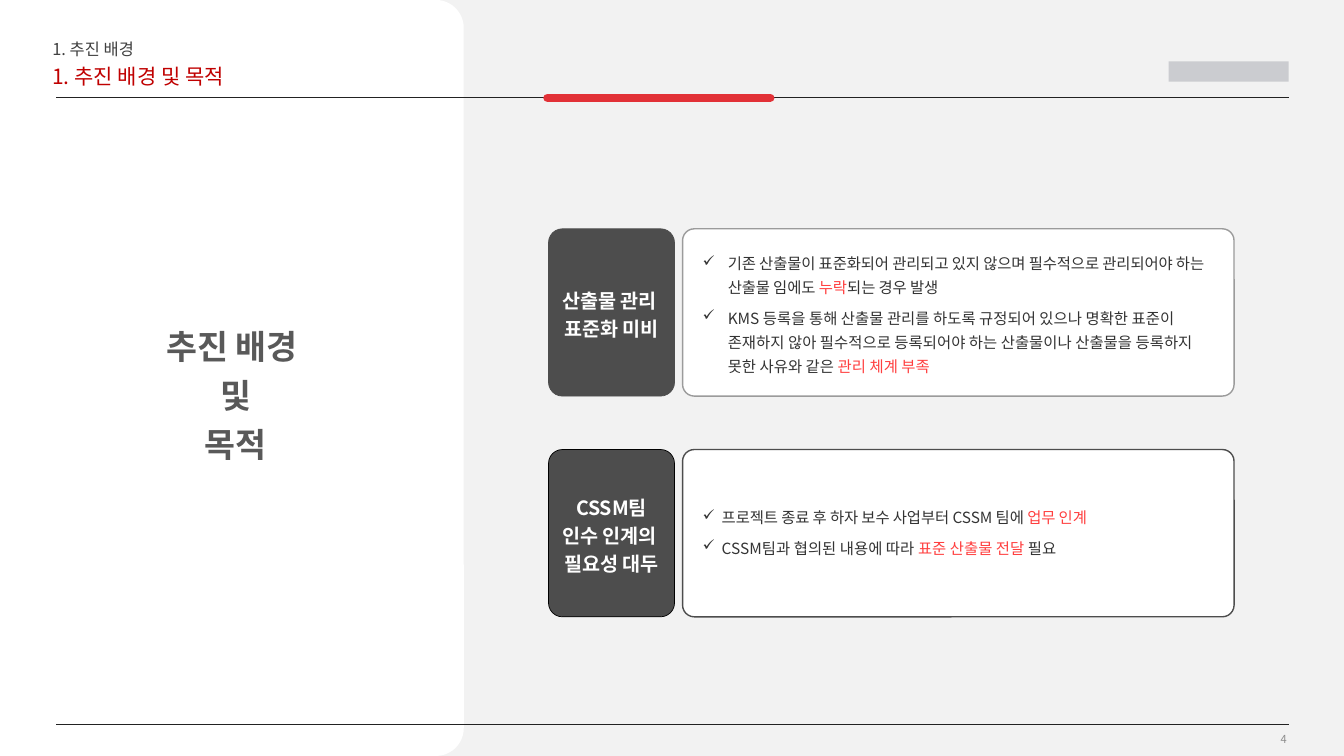
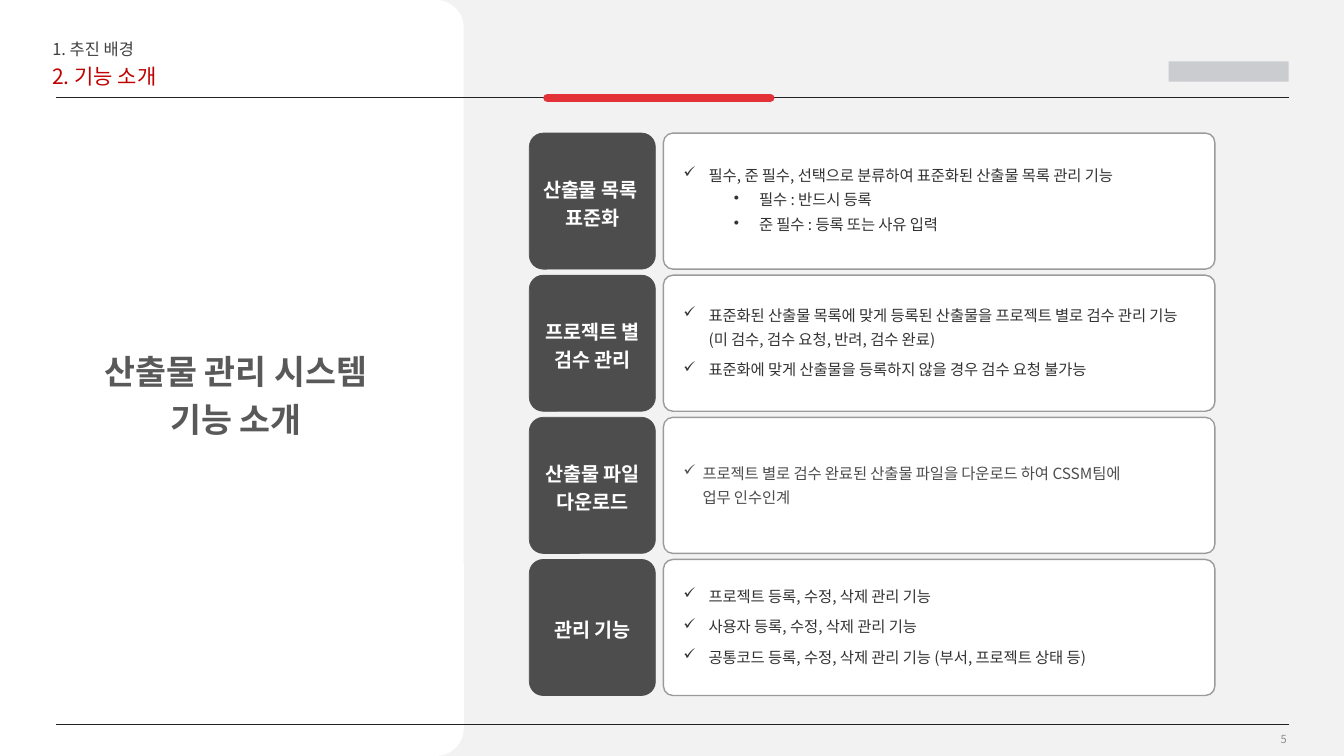
import copy
import dataclasses

import lxml.etree
import pptx
import pptx.dml.color
import pptx.enum.shapes
import pptx.enum.text
import pptx.oxml.ns
import pptx.util

Inches = pptx.util.Inches
Pt = pptx.util.Pt
SHAPES = pptx.enum.shapes.MSO_SHAPE
ALIGN = pptx.enum.text.PP_ALIGN
ANCHOR = pptx.enum.text.MSO_ANCHOR
FONT = "Noto Sans CJK KR"
COLORS = {
    "white": "FFFFFF", "backdrop": "F2F2F2", "rule": "222222", "accent": "E23137",
    "logo": "CBCCD0", "number": "8C8C8C", "section": "404040", "title": "C00000",
    "heading": "595959", "body": "333333", "highlight": "FF3F3F",
    "dark": "4D4D4D", "border": "9B9B9B", "black": "000000",
}


@dataclasses.dataclass
class Bullet:
    """A list item; every second span is highlighted."""
    spans: tuple
    mark: str = "✓"
    margin: float = 0.25
    hanging: float = 0.25
    level: int = 0
    line_spacing: float = 1.3
    spacing: int = -10
    color: str = "body"


@dataclasses.dataclass
class Card:
    """A dark label with a panel of bullets."""
    label: tuple
    text_top: float
    text_height: float
    bullets: tuple
    border: str = "border"
    label_border: str = "dark"


def rgb(name):
    """Return the named colour."""
    return pptx.dml.color.RGBColor.from_string(COLORS[name])


def add_child(parent, tag, **attributes):
    """Append a DrawingML element."""
    return lxml.etree.SubElement(parent, pptx.oxml.ns.qn(tag), attributes)


def place(left, top, width, height):
    """Convert a box in inches to lengths."""
    return Inches(left), Inches(top), Inches(width), Inches(height)


def add_text(para, text, size, color, bold=False, spacing=0):
    """Add formatted text, with a line break at each newline."""
    for index, line in enumerate(text.split("\n")):
        if index:
            para.add_line_break()
            line_break = para._p[-1]
            line_break.append(copy.deepcopy(properties))
        span = para.add_run()
        span.text = line
        span.font.size = Pt(size)
        span.font.name = FONT
        span.font.bold = bold
        span.font.color.rgb = rgb(color)
        properties = span._r.get_or_add_rPr()
        properties.set("spc", str(spacing))
        add_child(properties, "a:ea", typeface=FONT)


def fill_frame(frame, lines, align=ALIGN.LEFT, anchor=ANCHOR.TOP, wrap=True, inset=True,
               line_spacing=1.0, before=0, after=0, **style):
    """Fill a text frame with one paragraph per line."""
    frame.word_wrap = wrap
    frame.vertical_anchor = anchor
    if not inset:
        frame.margin_left = frame.margin_top = frame.margin_right = frame.margin_bottom = 0
    for index, line in enumerate(lines):
        para = frame.add_paragraph() if index else frame.paragraphs[0]
        para.alignment = align
        para.line_spacing = line_spacing
        para.space_before = Pt(before)
        para.space_after = Pt(after)
        add_text(para, line, **style)


def add_text_box(page, box, lines, **style):
    """Add a text box."""
    fill_frame(page.shapes.add_textbox(*place(*box)).text_frame, lines, **style)


def add_block(page, kind, box, fill, border=None, width=1, radius=None):
    """Add a flat shape."""
    shape = page.shapes.add_shape(kind, *place(*box))
    shape.shadow.inherit = False
    shape.fill.solid()
    shape.fill.fore_color.rgb = rgb(fill)
    if border:
        shape.line.color.rgb = rgb(border)
        shape.line.width = Pt(width)
    else:
        shape.line.fill.background()
    if radius is not None:
        shape.adjustments[0] = radius
    return shape


def add_rule(page, left, right, top, color, width, cap="flat"):
    """Add a horizontal line."""
    line = page.shapes.add_connector(pptx.enum.shapes.MSO_CONNECTOR.STRAIGHT,
                                     Inches(left), Inches(top), Inches(right), Inches(top))
    line.line.color.rgb = rgb(color)
    line.line.width = Pt(width)
    line.line._get_or_add_ln().set("cap", cap)
    add_child(line._element.spPr, "a:effectLst")


def add_frame(page, number, title, heading):
    """Add the parts that every page shares."""
    add_block(page, SHAPES.RECTANGLE, (4.2, 0, 9.13, 7.5), "backdrop")
    add_block(page, SHAPES.ROUNDED_RECTANGLE, (0, 0, 4.6, 7.5), "white", radius=0.06)
    add_rule(page, 0.56, 12.78, 0.97, "rule", 0.5)
    add_rule(page, 5.43, 7.64, 0.97, "accent", 6, cap="rnd")
    add_rule(page, 0.56, 12.78, 7.19, "rule", 0.5)
    add_block(page, SHAPES.RECTANGLE, (11.59, 0.61, 1.19, 0.2), "logo")
    add_text_box(page, (9.86, 7.13, 3, 0.4), [str(number)], size=7.9, color="number",
                 align=ALIGN.RIGHT, anchor=ANCHOR.MIDDLE)
    add_text_box(page, (0.42, 0.38, 8.62, 0.27), ["1. 추진 배경"], size=11.7,
                 color="section", line_spacing=0.8)
    add_text_box(page, (0.42, 0.63, 5.49, 0.31), [title], size=15, color="title",
                 line_spacing=0.8, before=7.5)
    add_text_box(page, (0.91, 3.03, 2.86, 1.78), heading, size=24, color="heading", bold=True,
                 align=ALIGN.CENTER, anchor=ANCHOR.MIDDLE, wrap=False, inset=False, after=6)


def add_bullets(page, box, bullets):
    """Add a bulleted list."""
    frame = page.shapes.add_textbox(*place(*box)).text_frame
    frame.word_wrap = True
    for index, bullet in enumerate(bullets):
        para = frame.add_paragraph() if index else frame.paragraphs[0]
        para.level = bullet.level
        para.line_spacing = bullet.line_spacing
        para.space_after = Pt(4.5)
        properties = para._p.get_or_add_pPr()
        properties.set("marL", str(Inches(bullet.margin)))
        properties.set("indent", str(-Inches(bullet.hanging)))
        add_child(properties, "a:buChar", char=bullet.mark)
        for position, text in enumerate(bullet.spans):
            color = "highlight" if position % 2 else bullet.color
            add_text(para, text, 11, color, spacing=bullet.spacing)


def add_card(page, box, card):
    """Add a label and its panel inside a box."""
    left, top, width, height = box
    panel_left, panel_width = left + 1.33, width - 1.33
    add_block(page, SHAPES.ROUNDED_RECTANGLE, (panel_left, top, panel_width, height),
              "white", card.border, radius=0.07)
    add_bullets(page, (panel_left + 0.1, top + card.text_top, panel_width - 0.2,
                       card.text_height), card.bullets)
    label = add_block(page, SHAPES.ROUNDED_RECTANGLE, (left, top, 1.25, height),
                      "dark", card.label_border, width=0.5, radius=0.11)
    fill_frame(label.text_frame, card.label, size=14, color="white", bold=True, spacing=-10,
               align=ALIGN.CENTER, anchor=ANCHOR.MIDDLE, inset=False, line_spacing=1.2)


def add_cards(page, box, gap, cards):
    """Stack cards of equal height in a box."""
    left, top, width, height = box
    card_height = (height - gap * (len(cards) - 1)) / len(cards)
    for index, card in enumerate(cards):
        add_card(page, (left, top + index * (card_height + gap), width, card_height), card)


def tight(*spans, **style):
    """Return a bullet with a narrow indent."""
    return Bullet(spans, margin=0.19, hanging=0.19, **style)


def sub_bullet(text):
    """Return a second-level bullet."""
    return Bullet((text,), mark="•", margin=0.75, level=1, line_spacing=1.0)


BACKGROUND_CARDS = (
    Card(("산출물 관리 ", "표준화 미비"), 0.15, 1.35, (
        Bullet(("기존 산출물이 표준화되어 관리되고 있지 않으며 필수적으로 관리되어야 하는 산출물 임에도 ",
                "누락", "되는 경우 발생")),
        Bullet(("KMS 등록을 통해 산출물 관리를 하도록 규정되어 있으나 명확한 표준이 존재하지 않아 "
                "필수적으로 등록되어야 하는 산출물이나 산출물을 등록하지 못한 사유와 같은 ",
                "관리 체계 부족"), spacing=0))),
    Card(("CSSM팀", "인수 인계의 ", "필요성 대두"), 0.48, 0.63, (
        tight("프로젝트 종료 후 하자 보수 사업부터 CSSM 팀에 ", "업무 인계"),
        tight("CSSM팀과 협의된 내용에 따라 ", "표준 산출물 전달 ", "필요", spacing=0)),
        border="dark", label_border="black"),
)
FEATURE_CARDS = (
    Card(("산출물 목록 ", "표준화"), 0.22, 0.85, (
        Bullet(("필수, 준 필수, 선택으로 분류하여 표준화된 산출물 목록 관리 기능",)),
        sub_bullet("필수 : 반드시 등록"),
        sub_bullet("준 필수 : 등록 또는 사유 입력"))),
    Card(("프로젝트 별", "검수 관리"), 0.2, 0.87, (
        Bullet(("표준화된 산출물 목록에 맞게 등록된 산출물을 프로젝트 별로 검수 관리 기능\n"
                "(미 검수, 검수 요청, 반려, 검수 완료)",)),
        Bullet(("표준화에 맞게 산출물을 등록하지 않을 경우 검수 요청 불가능",)))),
    Card(("산출물 파일", "다운로드"), 0.36, 0.56, (
        tight("프로젝트 별로 검수 완료된 산출물 파일을 다운로드 하여 CSSM팀에 \n업무 인수인계",
              color="dark"),)),
    Card(("관리 기능",), 0.17, 0.94, (
        Bullet(("프로젝트 등록, 수정, 삭제 관리 기능",)),
        Bullet(("사용자 등록, 수정, 삭제 관리 기능",)),
        Bullet(("공통코드 등록, 수정, 삭제 관리 기능 (부서, 프로젝트 상태 등)",)))),
)


def add_page(deck, number, title, heading, box, gap, cards):
    """Add a page with a heading and stacked cards."""
    page = deck.slides.add_slide(deck.slide_layouts[6])
    add_frame(page, number, title, heading)
    add_cards(page, box, gap, cards)


def main():
    """Build and save the deck."""
    deck = pptx.Presentation()
    deck.slide_width = Inches(13.33)
    deck.slide_height = Inches(7.5)
    add_page(deck, 4, "1. 추진 배경 및 목적", ("추진 배경 ", "및", "목적"),
             (5.44, 2.27, 6.8, 3.85), 0.53, BACKGROUND_CARDS)
    add_page(deck, 5, "2. 기능 소개", ("산출물 관리 시스템", "기능 소개"),
             (5.25, 1.32, 6.8, 5.58), 0.06, FEATURE_CARDS)
    deck.save("out.pptx")


if __name__ == "__main__":
    main()
